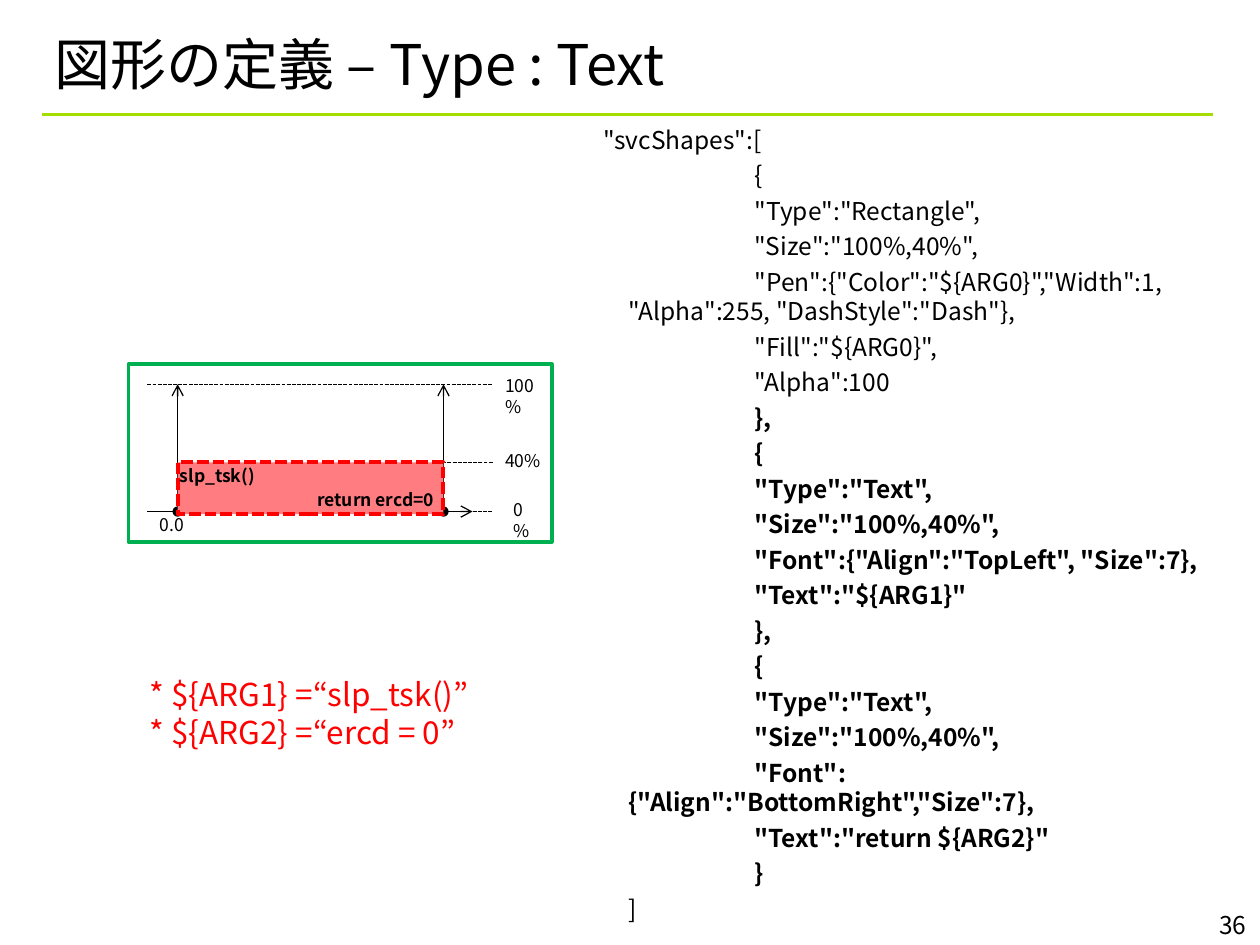
from lxml.etree import SubElement
from pptx import Presentation
from pptx.dml.color import RGBColor
from pptx.enum.dml import MSO_LINE
from pptx.enum.shapes import MSO_CONNECTOR, MSO_SHAPE
from pptx.enum.text import MSO_ANCHOR, MSO_AUTO_SIZE, PP_ALIGN
from pptx.oxml.ns import qn
from pptx.util import Inches, Pt

FONT = "Noto Sans CJK JP"
BLACK, RED, GREEN, LIME, PINK = "000000", "FF0000", "00B050", "A4DE00", "FF7C80"


def color(value):
    return RGBColor.from_string(value)


class SlideBuilder:
    """Holds the text style, the slide and the shapes being added to."""

    def __init__(self, slide):
        self.slide = slide
        self.shapes = slide.shapes

    def start_group(self):
        self.shapes = self.slide.shapes.add_group_shape().shapes

    def end_group(self):
        self.shapes = self.slide.shapes

    def run(self, p, text, size, rgb=BLACK, bold=False):
        r = p.add_run()
        r.text = text
        for name, value in {"size": Pt(size), "bold": bold, "name": FONT}.items():
            setattr(r.font, name, value)
        r.font.color.rgb = color(rgb)
        SubElement(r.font._element, qn("a:ea"), typeface=FONT)

    def frame(self, sp, **formats):
        tf = sp.text_frame
        settings = {"word_wrap": True, "auto_size": MSO_AUTO_SIZE.NONE, **formats}
        for name, value in settings.items():
            setattr(tf, name, value)
        return tf

    def title(self, box, text):
        sp = self.slide.shapes.title
        for name, value in zip(("left", "top", "width", "height"), box):
            setattr(sp, name, Inches(value))
        p = self.frame(sp, vertical_anchor=MSO_ANCHOR.MIDDLE).paragraphs[0]
        p.alignment = PP_ALIGN.LEFT
        self.run(p, text, 32)

    def text(self, box, lines, size, rgb=BLACK, bold=False, align=PP_ALIGN.LEFT):
        sp = self.shapes.add_textbox(*map(Inches, box))
        tf = self.frame(sp, auto_size=MSO_AUTO_SIZE.SHAPE_TO_FIT_TEXT)
        for i, line in enumerate(lines):
            p = tf.add_paragraph() if i else tf.paragraphs[0]
            p.alignment = align
            self.run(p, line, size, rgb, bold)

    def code(self, box, lines, size):
        """Each line is a pair of text and bold; tab stops stand one inch apart."""
        tf = self.frame(self.shapes.add_textbox(*map(Inches, box)))
        for i, (line, bold) in enumerate(lines):
            p = tf.add_paragraph() if i else tf.paragraphs[0]
            p.space_before = Pt(3.5 if i else 0)
            pPr = p._p.get_or_add_pPr()
            for name, length in {"marL": 0.2, "indent": -0.2, "defTabSz": 1}.items():
                pPr.set(name, str(Inches(length)))
            tabs = SubElement(pPr, qn("a:tabLst"))
            for stop in range(8):
                SubElement(tabs, qn("a:tab"), pos=str(Inches(stop)), algn="l")
            self.run(p, line, size, bold=bold)

    def line(self, x1, y1, x2, y2, rgb=BLACK, width=0.75, dash=None, head=None, tail=None):
        sp = self.shapes.add_connector(
            MSO_CONNECTOR.STRAIGHT, *map(Inches, (x1, y1, x2, y2)))
        self.outline(sp, rgb, width, dash)
        ln = sp.line._get_or_add_ln()
        for tag, kind in (("a:headEnd", head), ("a:tailEnd", tail)):
            if kind:
                SubElement(ln, qn(tag), type=kind)
        SubElement(sp._element.spPr, qn("a:effectLst"))

    def rect(self, box, rgb, width, dash=None, fill=None):
        sp = self.shapes.add_shape(MSO_SHAPE.RECTANGLE, *map(Inches, box))
        sp.shadow.inherit = False
        if fill:
            sp.fill.solid()
            sp.fill.fore_color.rgb = color(fill)
        else:
            sp.fill.background()
        self.outline(sp, rgb, width, dash)

    def outline(self, sp, rgb, width, dash):
        sp.line.color.rgb = color(rgb)
        sp.line.width = Pt(width)
        if dash:
            sp.line.dash_style = dash


PLAIN_CODE = [
    '"svcShapes":[',
    '\t\t{',
    '\t\t"Type":"Rectangle",',
    '\t\t"Size":"100%,40%",',
    '\t\t"Pen":{"Color":"${ARG0}","Width":1, \t"Alpha":255, "DashStyle":"Dash"},',
    '\t\t"Fill":"${ARG0}",',
    '\t\t"Alpha":100',
]


def text_shape(font, text):
    return ['\t\t{', '\t\t"Type":"Text",', '\t\t"Size":"100%,40%",',
            f'\t\t"Font":{font},', f'\t\t"Text":"{text}"']


BOLD_CODE = [
    '\t\t},',
    *text_shape('{"Align":"TopLeft", "Size":7}', "${ARG1}"),
    '\t\t},',
    *text_shape('{"Align":"BottomRight","Size":7}', "return ${ARG2}"),
    '\t\t}',
]


def main():
    prs = Presentation()
    prs.slide_width, prs.slide_height = Inches(10), Inches(7.5)
    s = SlideBuilder(prs.slides.add_slide(prs.slide_layouts[5]))

    # Heading, rule and page number
    s.line(0.33, 0.91, 9.63, 0.91, LIME, 1.5)
    s.title((0.33, 0.25, 9.25, 0.5), "図形の定義 – Type : Text")
    s.text((9.08, 7.17, 0.91, 0.33), ["36"], 14, align=PP_ALIGN.RIGHT)

    # Shape definition code
    lines = ([(line, False) for line in PLAIN_CODE]
             + [(line, True) for line in BOLD_CODE] + [("\t]", False)])
    s.code((4.69, 0.94, 5.08, 6.17), lines, 14)

    # Diagram: levels, time axis and vertical arrows
    top, level, base = 3.05, 3.67, 4.06
    left, right, edge = 1.41, 3.52, 3.91
    dash = MSO_LINE.SQUARE_DOT
    s.start_group()
    s.line(1.17, top, edge, top, dash=dash)
    s.line(edge, level, right, level, dash=dash)
    s.line(1.17, base, 3.75, base, tail="arrow")
    s.line(3.59, base, edge, base, dash=dash)
    for x in (left, right):
        s.line(x, base, x, top, head="oval", tail="arrow")

    # Diagram: drawn rectangle, frame and labels
    s.rect((left, level, right - left, 0.41), RED, 2.25, dash, PINK)
    s.rect((1.02, 2.89, 3.36, 1.41), GREEN, 2.25)
    for box, label, bold in (
        ((edge, 2.93, 0.55, 0.44), "100%", False),
        ((edge, 3.52, 0.55, 0.27), "40%", False),
        ((3.98, 3.91, 0.39, 0.44), "0%", False),
        ((1.17, 4.03, 0.55, 0.27), "0.0", False),
        ((1.33, 3.64, 1.25, 0.27), "slp_tsk()", True),
        ((2.42, 3.83, 1.25, 0.27), "return ercd=0", True),
    ):
        s.text(box, [label], 10, bold=bold)
    s.end_group()

    # Argument values
    s.text((1.09, 5.31, 3.28, 0.7),
           ["* ${ARG1} =“slp_tsk()”", "* ${ARG2} =“ercd = 0”"], 18, RED)

    prs.save("out.pptx")


if __name__ == "__main__":
    main()
